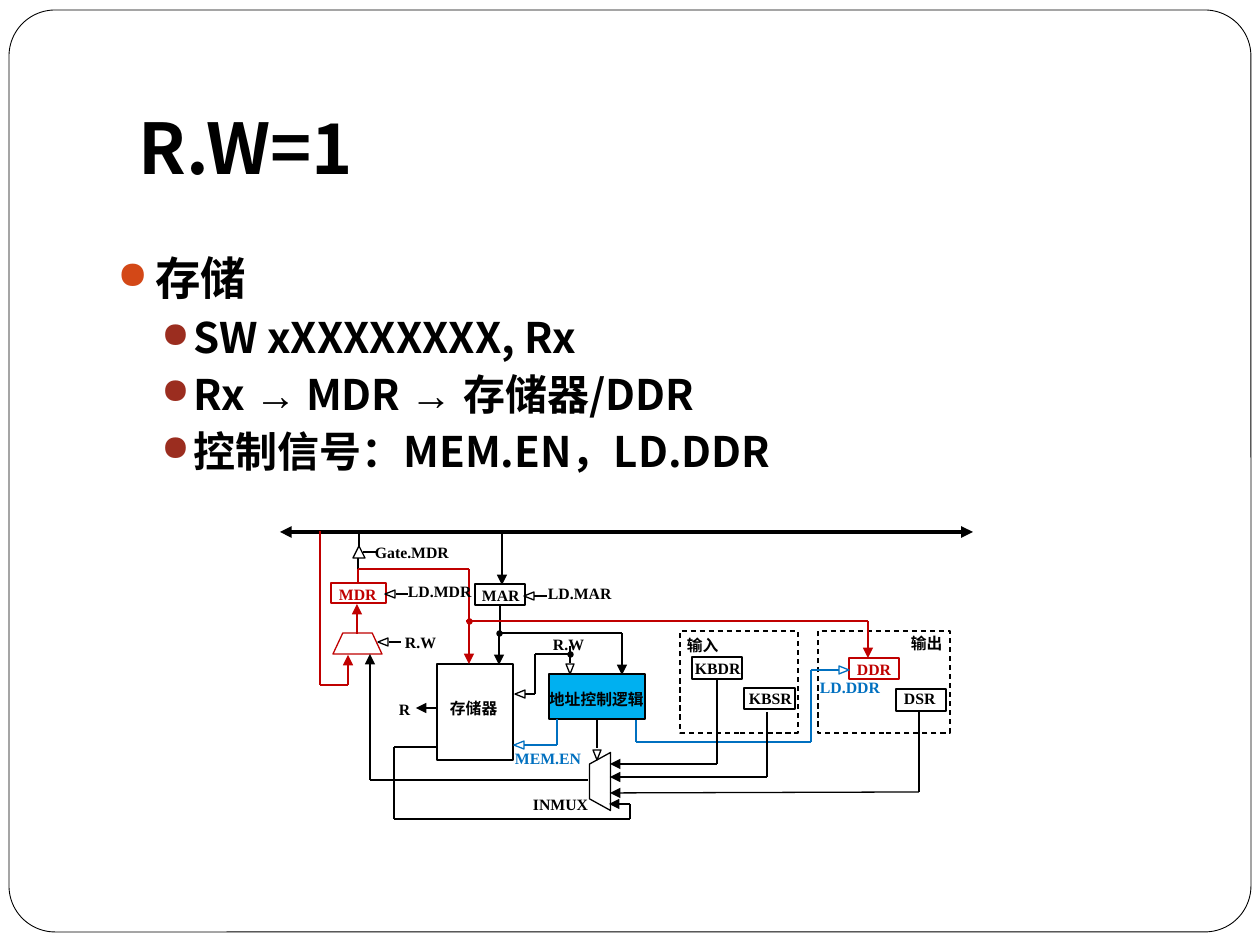
from lxml.etree import SubElement
from pptx import Presentation
from pptx.dml.color import RGBColor
from pptx.enum.dml import MSO_LINE
from pptx.enum.shapes import MSO_CONNECTOR, MSO_SHAPE as SHAPE
from pptx.enum.text import MSO_ANCHOR as ANCHOR, PP_ALIGN as ALIGN
from pptx.oxml.ns import qn
from pptx.util import Pt

PX = 914400 // 126
BLACK, WHITE, RED, BLUE, CYAN = "000000", "FFFFFF", "C00000", "0070C0", "00B0F0"
SANS, SERIF, ARROW_FONT = "Noto Sans CJK SC", "Times New Roman", "Arial"


def px(*lengths):
    return [length * PX for length in lengths]


def rgb(color):
    return RGBColor.from_string(color)


class Painter:
    def __init__(self, slide):
        self.slide = slide
        self.shapes = slide.shapes

    def style_run(self, span, size, latin, color=BLACK, asian=SANS):
        font = span.font
        font.size, font.bold, font.name = Pt(size), True, latin
        font.color.rgb = rgb(color)
        SubElement(span._r.get_or_add_rPr(), qn("a:ea")).set("typeface", asian)

    def title(self, text, left, top, width, height):
        box = self.shapes.title
        box.left, box.top, box.width, box.height = px(left, top, width, height)
        frame = box.text_frame
        frame.text = text
        frame.vertical_anchor = ANCHOR.BOTTOM
        para = frame.paragraphs[0]
        para.alignment = ALIGN.LEFT
        self.style_run(para.runs[0], 40, SANS)

    def bullets(self, items, left, top, width, height):
        """Each item is (level, text pieces); arrow pieces get their own font."""
        frame = self.shapes.add_textbox(*px(left, top, width, height)).text_frame
        frame.word_wrap = True
        for index, (level, pieces) in enumerate(items):
            para = frame.add_paragraph() if index else frame.paragraphs[0]
            size, color, margin, indent, before = BULLET_LEVELS[level]
            para.level = level
            props = para._p.get_or_add_pPr()
            props.set("marL", str(margin * PX))
            props.set("indent", str(-indent * PX))
            tint = SubElement(props, qn("a:buClr"))
            SubElement(tint, qn("a:srgbClr")).set("val", color)
            SubElement(props, qn("a:buSzPct")).set("val", "85000")
            SubElement(props, qn("a:buChar")).set("char", "●")
            if index:
                para.space_before = Pt(before)
            for piece in pieces:
                span = para.add_run()
                span.text = piece
                name = ARROW_FONT if "→" in piece else SANS
                self.style_run(span, size, name, asian=name)

    def label(self, text, left, top, width, height=28, color=BLACK):
        frame = self.shapes.add_textbox(*px(left, top, width, height)).text_frame
        frame.word_wrap = True
        frame.vertical_anchor = ANCHOR.MIDDLE
        frame.margin_left = frame.margin_right = 2 * PX
        frame.margin_top = frame.margin_bottom = PX
        frame.text = text
        self.style_run(frame.paragraphs[0].runs[0], 9, SERIF, color)

    def shape(self, kind, left, top, width, height, line=BLACK, fill=None,
              turn=0, weight=0.75, dashed=False):
        shape = self.shapes.add_shape(kind, *px(left, top, width, height))
        shape.shadow.inherit = False
        shape.rotation = turn
        if fill:
            shape.fill.solid()
            shape.fill.fore_color.rgb = rgb(fill)
        else:
            shape.fill.background()
        shape.line.color.rgb = rgb(line)
        shape.line.width = Pt(weight)
        if dashed:
            shape.line.dash_style = MSO_LINE.DASH
        return shape

    def frame(self, left, top, width, height):
        shape = self.shape(SHAPE.ROUNDED_RECTANGLE, left, top, width, height,
                           fill=WHITE, weight=0.5)
        shape.adjustments[0] = 0.05
        self.shapes.title.element.addprevious(shape.element)

    def control(self, center_x, center_y, turn, color=BLACK):
        """Hollow arrowhead that ends a control signal."""
        self.shape(SHAPE.FLOWCHART_EXTRACT, center_x - 4, center_y - 5, 8, 10,
                   color, WHITE, turn)

    def dot(self, center_x, center_y, color=BLACK):
        self.shape(SHAPE.OVAL, center_x - 2, center_y - 2, 5, 5, color, color)

    def wire(self, points, color=BLACK, ends=(), weight=0.75):
        """Join the points; ends names the arrowheads of the last segment."""
        for start, stop in zip(points, points[1:]):
            line = self.shapes.add_connector(MSO_CONNECTOR.STRAIGHT,
                                             *px(*start, *stop))
            line.line.color.rgb = rgb(color)
            line.line.width = Pt(weight)
            SubElement(line.element.spPr, qn("a:effectLst"))
        for end in ends:
            SubElement(line.line._get_or_add_ln(),
                       qn(f"a:{end}")).set("type", "triangle")


# size, bullet colour, margin, hanging indent, space before
BULLET_LEVELS = [(26, "D34817", 38, 38, 5.8), (24, "9B2D1F", 76, 32, 3.7)]
BULLETS = [
    (0, ["存储"]),
    (1, ["SW xXXXXXXXX, Rx"]),
    (1, ["Rx ", "→", " MDR ", "→ ", "存储器/DDR"]),
    (1, ["控制信号：MEM.EN，LD.DDR"]),
]
REGISTERS = [
    (331, 583, 55, 20, RED), (475, 584, 50, 21, BLACK), (692, 657, 50, 22, BLACK),
    (744, 688, 51, 21, BLACK), (849, 658, 50, 21, RED), (896, 689, 50, 22, BLACK),
]
PLAIN_WIRES = [
    ([(359, 533), (359, 547)], BLACK), ([(363, 552), (377, 552)], BLACK),
    ([(358, 558), (358, 569)], BLACK), ([(396, 594), (408, 594)], BLACK),
    ([(534, 596), (547, 596)], BLACK), ([(389, 642), (401, 642)], BLACK),
    ([(358, 569), (358, 583)], RED), ([(500, 606), (500, 634)], BLACK),
    ([(570, 646), (570, 663)], BLACK), ([(597, 720), (597, 748)], BLACK),
    ([(570, 654), (535, 654), (535, 694), (524, 694)], BLACK),
    ([(557, 719), (557, 745), (524, 745)], BLUE),
    ([(636, 720), (636, 742), (811, 742), (811, 670), (842, 670)], BLUE),
]
ARROW_WIRES = [
    ([(357, 634), (357, 604)], RED),
    ([(320, 531), (320, 685), (348, 685), (348, 655)], RED),
    ([(358, 569), (469, 569), (469, 664)], RED),
    ([(466, 621), (868, 621), (868, 658)], RED),
    ([(588, 780), (370, 780), (370, 654)], BLACK),
    ([(502, 532), (502, 585)], BLACK), ([(499, 633), (499, 665)], BLACK),
    ([(500, 633), (622, 633), (622, 675)], BLACK),
    ([(437, 708), (416, 708)], BLACK),
    ([(436, 747), (394, 747), (394, 819), (630, 819), (630, 804), (609, 804)], BLACK),
    ([(717, 680), (717, 764), (610, 764)], BLACK),
    ([(767, 712), (767, 777), (610, 777)], BLACK),
    ([(919, 712), (919, 792), (610, 793)], BLACK),
]
CONTROLS = [
    (390, 594, 270, BLACK), (529, 596, 270, BLACK), (383, 642, 270, BLACK),
    (520, 694, 270, BLACK), (519, 745, 270, BLUE), (844, 670, 90, BLUE),
    (570, 669, 180, BLACK), (597, 755, 180, BLACK),
]
LABELS = [
    ("Gate.MDR", 373, 538, 88, 28, BLACK), ("MDR", 337, 580, 44, 28, RED),
    ("LD.MDR", 406, 577, 71, 28, BLACK), ("MAR", 480, 581, 44, 28, BLACK),
    ("LD.MAR", 546, 579, 71, 28, BLACK), ("存储器", 448, 691, 55, 34, BLACK),
    ("MEM.EN", 513, 743, 86, 30, BLUE), ("R", 397, 695, 21, 28, BLACK),
    ("地址控制逻辑", 547, 675, 107, 49, BLACK), ("R.W", 551, 630, 43, 28, BLACK),
    ("INMUX", 531, 790, 71, 28, BLACK), ("KBSR", 747, 684, 50, 28, BLACK),
    ("KBDR", 693, 654, 66, 28, BLACK), ("DDR", 855, 655, 50, 28, RED),
    ("DSR", 902, 684, 50, 28, BLACK), ("输出", 909, 629, 47, 28, BLACK),
    ("输入", 685, 631, 48, 28, BLACK), ("R.W", 403, 628, 43, 28, BLACK),
    ("LD.DDR", 818, 673, 71, 28, BLUE),
]


def main():
    deck = Presentation()
    deck.slide_width, deck.slide_height = px(1260, 945)
    page = Painter(deck.slides.add_slide(deck.slide_layouts[5]))
    page.frame(9, 10, 1242, 922)
    page.title("R.W=1", 126, 38, 1071, 157)
    page.bullets(BULLETS, 105, 244, 1052, 258)

    page.wire([(280, 532), (973, 532)], ends=("headEnd", "tailEnd"), weight=2.25)
    for left, width in ((680, 118), (818, 132)):
        page.shape(SHAPE.RECTANGLE, left, 631, width, 102, dashed=True)
    for *place, color in REGISTERS:
        page.shape(SHAPE.RECTANGLE, *place, color)
    page.shape(SHAPE.RECTANGLE, 437, 664, 76, 96)
    page.shape(SHAPE.RECTANGLE, 549, 674, 96, 45, fill=CYAN)
    page.shape(SHAPE.FLOWCHART_MANUAL_OPERATION, 333, 633, 49, 21, RED, turn=180)
    page.shape(SHAPE.FLOWCHART_MANUAL_OPERATION, 571, 771, 58, 21, turn=90)

    for points, color in PLAIN_WIRES:
        page.wire(points, color)
    for points, color in ARROW_WIRES:
        page.wire(points, color, ends=("tailEnd",))
    page.shape(SHAPE.FLOWCHART_EXTRACT, 353, 546, 12, 12, fill=WHITE)
    for control in CONTROLS:
        page.control(*control)
    for x, y, color in ((469, 621, RED), (499, 633, BLACK), (570, 654, BLACK)):
        page.dot(x, y, color)
    for text, *place, color in LABELS:
        page.label(text, *place, color=color)
    deck.save("out.pptx")


if __name__ == "__main__":
    main()
